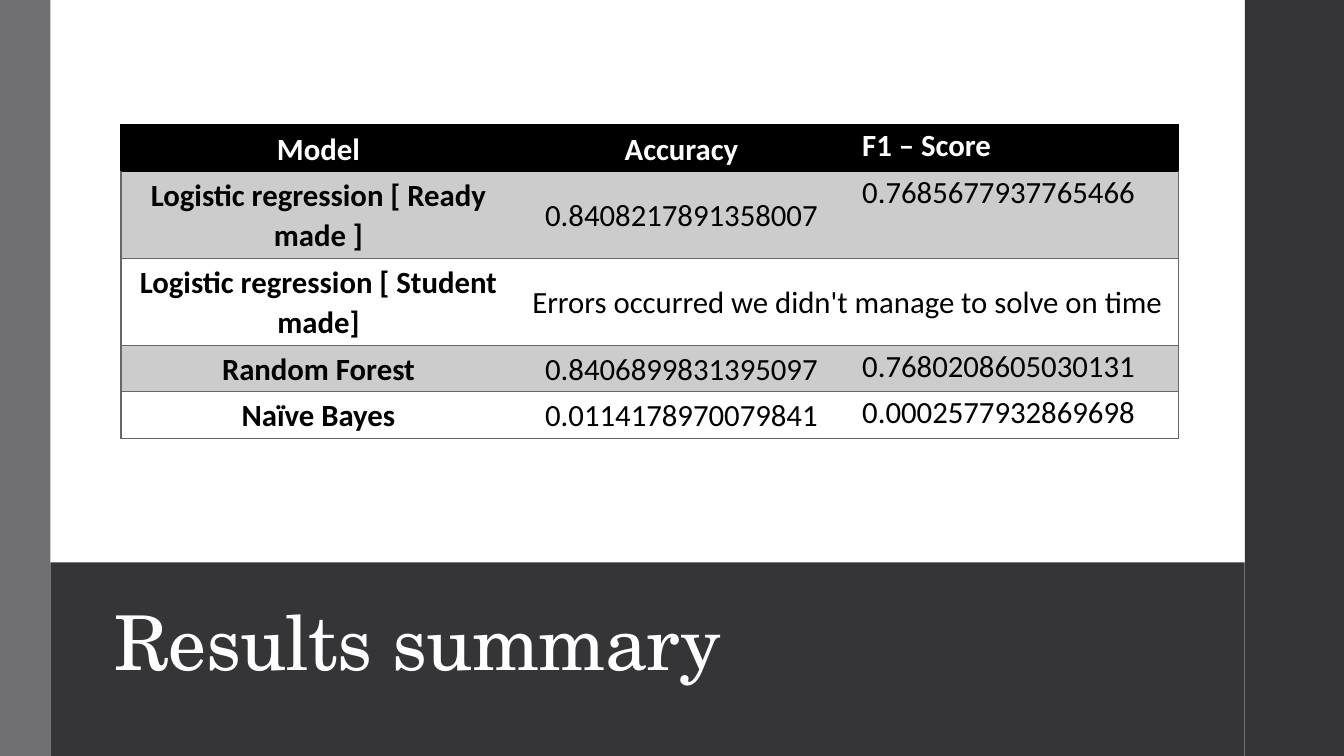
from lxml.etree import SubElement
from pptx import Presentation
from pptx.dml.color import RGBColor
from pptx.enum.shapes import MSO_SHAPE
from pptx.enum.text import MSO_ANCHOR, MSO_AUTO_SIZE, PP_ALIGN
from pptx.oxml.ns import qn
from pptx.util import Cm, Pt

WHITE = RGBColor(0xFF, 0xFF, 0xFF)
BLACK = RGBColor(0x00, 0x00, 0x00)
CHARCOAL = RGBColor(0x35, 0x35, 0x37)
SLATE = RGBColor(0x6F, 0x6F, 0x74)
BAND = RGBColor(0xCC, 0xCC, 0xCC)
RULE = RGBColor(0x66, 0x66, 0x66)

TITLE = "Results summary"
RESULTS = [
    ("Model", "Accuracy", "F1 – Score"),
    ("Logistic regression [ Ready made ]", "0.8408217891358007", "0.7685677937765466"),
    ("Logistic regression [ Student made]", "Errors occurred we didn't manage to solve on time"),
    ("Random Forest", "0.8406899831395097", "0.7680208605030131"),
    ("Naïve Bayes", "0.0114178970079841", "0.0002577932869698"),
]
COLUMN_WIDTHS = [9.95, 8.35, 8.35]
ROW_HEIGHTS = [1.17, 2.19, 2.19, 1.17, 1.17]

PAGE_WIDTH, PAGE_HEIGHT = 33.87, 19.05
LEFT_EDGE, RIGHT_EDGE, FOOT_TOP = 1.27, 31.37, 14.17
PANELS = [
    (LEFT_EDGE, FOOT_TOP, RIGHT_EDGE - LEFT_EDGE, PAGE_HEIGHT - FOOT_TOP, CHARCOAL),
    (0, 0, LEFT_EDGE, PAGE_HEIGHT, SLATE),
    (RIGHT_EDGE, 0, PAGE_WIDTH - RIGHT_EDGE, PAGE_HEIGHT, CHARCOAL),
]


def add_panel(page, left, top, width, height, color):
    """Draw one plain background rectangle."""
    panel = page.shapes.add_shape(
        MSO_SHAPE.RECTANGLE, Cm(left), Cm(top), Cm(width), Cm(height))
    panel.shadow.inherit = False
    panel.fill.solid()
    panel.fill.fore_color.rgb = color
    panel.line.fill.background()


def add_span(para, text, font_name, size, color, bold=False):
    """Add one formatted run to a paragraph."""
    span = para.add_run()
    span.text = text
    span.font.name = font_name
    span.font.size = Pt(size)
    span.font.bold = bold
    span.font.color.rgb = color
    return span


def fill_title(page):
    """Place the title in the dark foot of the page."""
    title = page.shapes.title
    title.left, title.top, title.width, title.height = Cm(2.62), Cm(14.4), Cm(28.22), Cm(3)
    frame = title.text_frame
    frame.auto_size = MSO_AUTO_SIZE.NONE
    frame.vertical_anchor = MSO_ANCHOR.BOTTOM
    para = frame.paragraphs[0]
    para.alignment = PP_ALIGN.LEFT
    para.line_spacing = 0.85
    span = add_span(para, TITLE, "TeX Gyre Schola", 54, WHITE)
    span.font._element.set("spc", "-50")
    page.shapes._spTree.append(title._element)


def set_borders(cell, colors):
    """Set the left, right, top and bottom borders; None hides one."""
    properties = cell._tc.get_or_add_tcPr()
    for index, (side, color) in enumerate(zip("LRTB", colors)):
        line = SubElement(properties, qn(f"a:ln{side}"), w=str(Pt(1)))
        if color is None:
            SubElement(line, qn("a:noFill"))
        else:
            solid = SubElement(line, qn("a:solidFill"))
            SubElement(solid, qn("a:srgbClr"), val=str(color))
        properties.insert(index, line)


def fill_cell(cell, text, row, column):
    """Write and style one table cell."""
    is_header = row == 0
    is_score = column == 2
    cell.margin_left = cell.margin_right = Cm(0.38)
    cell.margin_top = cell.margin_bottom = 0
    cell.vertical_anchor = MSO_ANCHOR.TOP if is_score else MSO_ANCHOR.MIDDLE
    cell.fill.solid()
    cell.fill.fore_color.rgb = BLACK if is_header else BAND if row % 2 else WHITE
    edge = BLACK if is_header else RULE
    last_column = column + cell.span_width == len(COLUMN_WIDTHS)
    set_borders(cell, (
        edge if column == 0 else None,
        edge if last_column else None,
        BLACK if row < 2 else RULE,
        edge,
    ))
    para = cell.text_frame.paragraphs[0]
    para.alignment = PP_ALIGN.LEFT if is_score else PP_ALIGN.CENTER
    para.line_spacing = 1.07
    para.space_after = Pt(8)
    add_span(para, text, "Calibri", 22, WHITE if is_header else BLACK,
             is_header or column == 0)


def add_results(page):
    """Add the table of model scores."""
    table = page.shapes.add_table(
        len(RESULTS), len(COLUMN_WIDTHS), Cm(3.05), Cm(3.15),
        Cm(sum(COLUMN_WIDTHS)), Cm(sum(ROW_HEIGHTS))).table
    table.first_row = table.horz_banding = False
    for column, width in zip(table.columns, COLUMN_WIDTHS):
        column.width = Cm(width)
    for row, (height, values) in enumerate(zip(ROW_HEIGHTS, RESULTS)):
        table.rows[row].height = Cm(height)
        last = len(values) - 1
        if last < len(COLUMN_WIDTHS) - 1:
            table.cell(row, last).merge(table.cell(row, len(COLUMN_WIDTHS) - 1))
        for column, text in enumerate(values):
            fill_cell(table.cell(row, column), text, row, column)


def main():
    """Build and save the results slide."""
    deck = Presentation()
    deck.slide_width, deck.slide_height = Cm(PAGE_WIDTH), Cm(PAGE_HEIGHT)
    page = deck.slides.add_slide(deck.slide_layouts[5])
    page.background.fill.solid()
    page.background.fill.fore_color.rgb = WHITE
    for panel in PANELS:
        add_panel(page, *panel)
    fill_title(page)
    add_results(page)
    deck.save("out.pptx")


if __name__ == "__main__":
    main()
